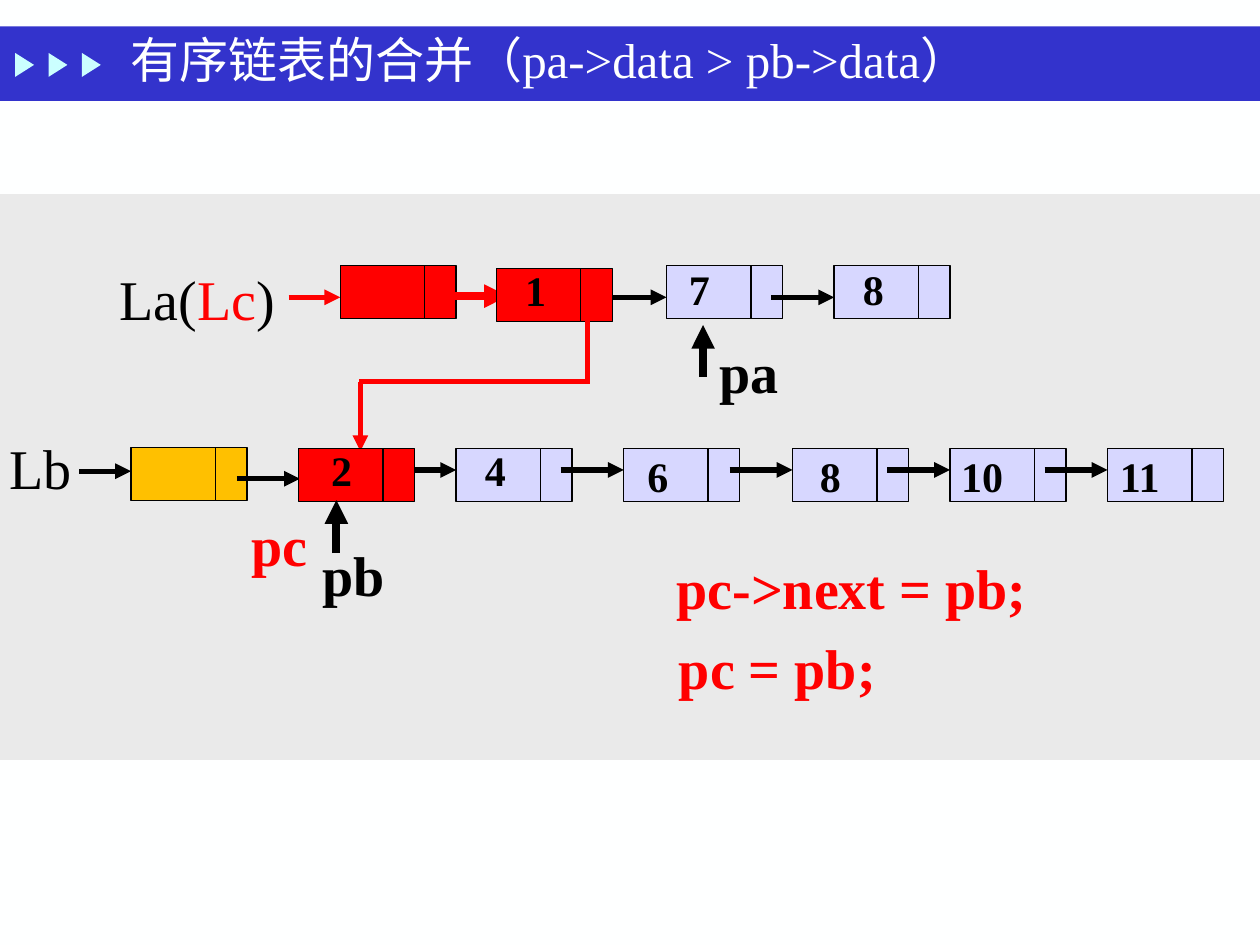
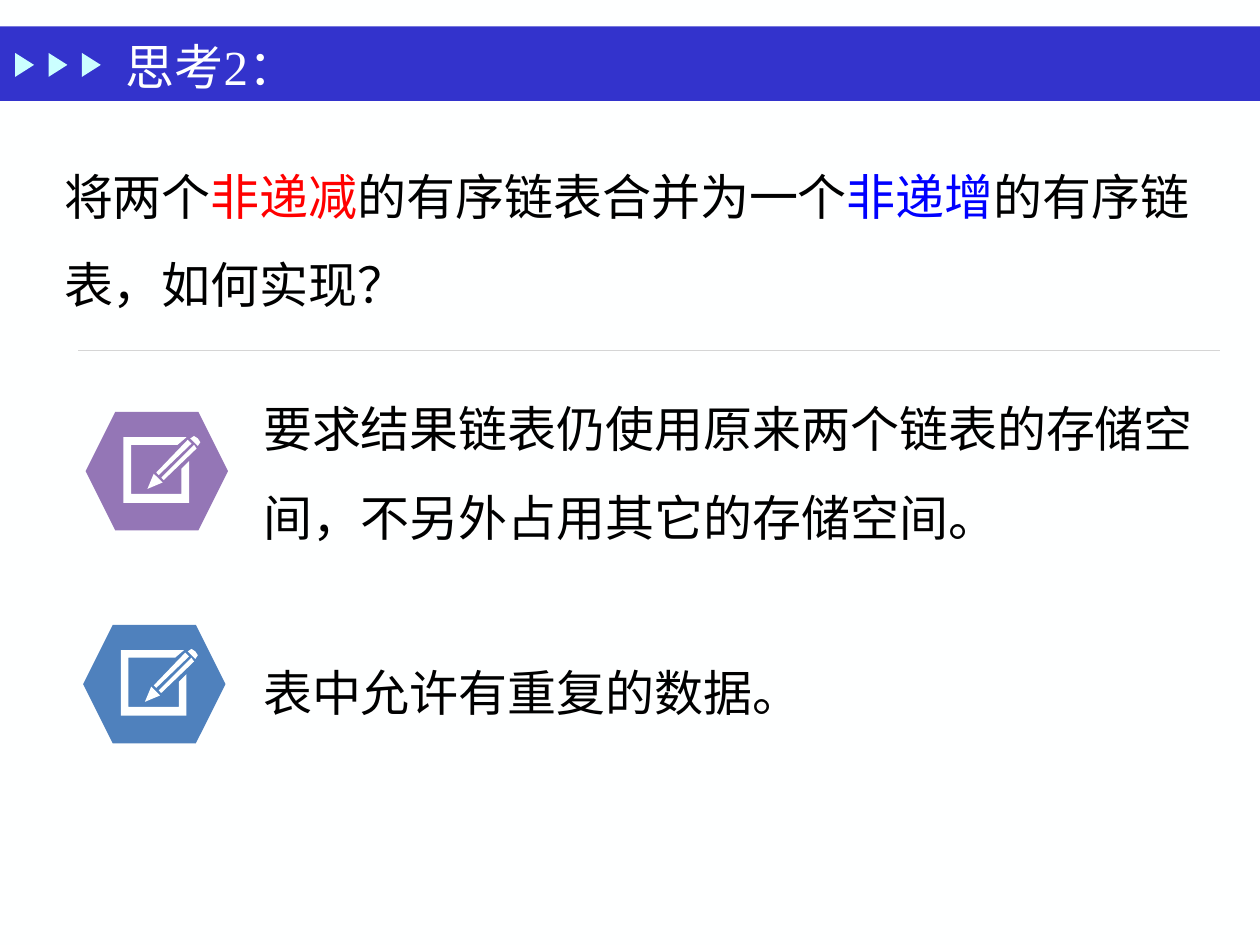
from lxml import etree
from pptx import Presentation
from pptx.dml.color import RGBColor
from pptx.enum import shapes, text
from pptx.oxml.ns import qn
from pptx.util import Pt

COLUMNS, ROWS = 10, 7.5
CELL = 914400
FONT = "Times New Roman"
BLACK, WHITE, RED, BLUE = "000000", "FEFFFF", "FF0000", "0000FF"
BAND, BAND_MARK, PANEL = "3333CC", "CBFFFF", "EAEAEA"
LILAC, AMBER, RULE = "D7D7FF", "FFC000", "D5D5D5"

DATA_WIDTH, LINK_WIDTH, NODE_HEIGHT = 0.67, 0.25, 0.42
ARROW_LENGTH = 0.5

LA_NODES = [(5.29, "7", 0.08, -0.07), (6.62, "8", 0.13, -0.07)]
LB_NODES = [
    (3.62, "4", 0.13, -0.08),
    (4.95, "6", 0.09, -0.03),
    (6.29, "8", 0.12, -0.03),
    (7.54, "10", -0.01, -0.03),
    (8.79, "11", 0, -0.03),
]

NOTE_OUTLINES = [
    [(0.61, 0.56), (0.54, 0.49), (0.49, 0.61)],
    [(0.81, 0.22), (0.56, 0.48), (0.58, 0.5), (0.84, 0.25)],
    [(0.6, 0.52), (0.62, 0.54), (0.88, 0.29), (0.86, 0.26)],
    [(0.83, 0.21), (0.86, 0.19), (0.89, 0.21), (0.91, 0.24), (0.89, 0.27)],
    [(0.76, 0.65), (0.36, 0.65), (0.36, 0.26), (0.73, 0.26), (0.8, 0.2),
     (0.3, 0.2), (0.3, 0.72), (0.82, 0.72), (0.82, 0.39), (0.76, 0.45)],
]


def color(hex_string):
    return RGBColor.from_string(hex_string)


def grid(*cells):
    return [round(cell * CELL) for cell in cells]


def paint(shape, fill, outline=None):
    shape.shadow.inherit = False
    shape.fill.solid()
    shape.fill.fore_color.rgb = color(fill)
    if outline:
        shape.line.color.rgb = color(outline)
        shape.line.width = Pt(0.75)
    else:
        shape.line.fill.background()


def add_block(page, kind, area, fill, outline=None):
    block = page.shapes.add_shape(kind, *grid(*area))
    paint(block, fill, outline)
    return block


def add_rect(page, area, fill, outline=None):
    return add_block(page, shapes.MSO_SHAPE.RECTANGLE, area, fill, outline)


def add_line(page, start, end, stroke=BLACK, width=3, arrow=True):
    line = page.shapes.add_connector(
        shapes.MSO_CONNECTOR.STRAIGHT, *grid(*start, *end))
    line.line.color.rgb = color(stroke)
    line.line.width = Pt(width)
    if arrow:
        etree.SubElement(line.line._get_or_add_ln(), qn("a:tailEnd"), type="triangle")
    etree.SubElement(line._element.spPr, qn("a:effectLst"))


def add_text(page, area, paragraphs, size, bold=False, wrap=True,
             middle=False, spacing=None, gap=0):
    box = page.shapes.add_textbox(*grid(*area))
    frame = box.text_frame
    frame.word_wrap = wrap
    if middle:
        frame.vertical_anchor = text.MSO_ANCHOR.MIDDLE
    for index, spans in enumerate(paragraphs):
        para = frame.add_paragraph() if index else frame.paragraphs[0]
        if spacing:
            para.line_spacing = spacing
        if index:
            para.space_before = Pt(gap)
        for words, ink in spans:
            span = para.add_run()
            span.text = words
            span.font.name = FONT
            span.font.size = Pt(size)
            span.font.bold = bold
            span.font.color.rgb = color(ink)


def add_label(page, area, words, ink=BLACK, size=32, bold=True):
    add_text(page, area, [[(words, ink)]], size, bold, wrap=False)


def add_node(page, left, top, fill, value="", shift_x=0, shift_y=0):
    add_rect(page, (left, top, DATA_WIDTH, NODE_HEIGHT), fill, BLACK)
    add_rect(page, (left + DATA_WIDTH, top, LINK_WIDTH, NODE_HEIGHT), fill, BLACK)
    if value:
        width = 0.2 + 0.17 * len(value)
        area = (left + shift_x, top + shift_y, width, 0.51)
        add_label(page, area, value, size=24)


def add_link(page, target, row, stroke=BLACK, width=3):
    add_line(page, (target - ARROW_LENGTH, row), (target, row), stroke, width)


def add_chain(page, nodes, top, arrow_row):
    for left, value, shift_x, shift_y in nodes:
        add_node(page, left, top, LILAC, value, shift_x, shift_y)
    for left, *_ in nodes:
        add_link(page, left, arrow_row)


def add_note_icon(page, left, top, fill):
    add_block(page, shapes.MSO_SHAPE.HEXAGON, (left, top, 1.13, 0.94), fill)
    for outline in NOTE_OUTLINES:
        points = [tuple(grid(left + x, top + y)) for x, y in outline]
        builder = page.shapes.build_freeform(*points[0])
        builder.add_line_segments(points[1:])
        paint(builder.convert_to_shape(), WHITE)


def add_page(deck, title, title_area):
    page = deck.slides.add_slide(deck.slide_layouts[6])
    page.background.fill.solid()
    page.background.fill.fore_color.rgb = color(WHITE)
    add_rect(page, (0, 0.21, COLUMNS, 0.59), BAND)
    for index in range(3):
        area = (0.1 + 0.265 * index, 0.44, 0.19, 0.15)
        mark = add_block(page, shapes.MSO_SHAPE.ISOSCELES_TRIANGLE, area, BAND_MARK)
        mark.rotation = 90
    add_text(page, title_area, [[(title, WHITE)]], 28, middle=True)
    return page


def add_merge_page(deck):
    page = add_page(deck, "有序链表的合并（pa->data > pb->data）", (0.94, 0.19, 8.53, 0.56))
    add_rect(page, (0, 1.54, COLUMNS, 4.49), PANEL)

    add_text(page, (0.85, 2.05, 1.61, 0.63),
             [[("La(", BLACK), ("Lc", RED), (")", BLACK)]], 32)
    add_line(page, (2.29, 2.36), (2.7, 2.36), RED)
    add_node(page, 2.7, 2.11, RED)
    add_link(page, 4.03, 2.35, RED, 4.5)
    add_chain(page, LA_NODES, 2.11, 2.36)
    add_node(page, 3.94, 2.13, RED, "1", 0.13, -0.08)

    add_label(page, (-0.02, 3.39, 0.7, 0.64), "Lb", bold=False)
    add_line(page, (0.63, 3.74), (1.04, 3.74))
    add_node(page, 1.04, 3.55, AMBER)
    add_link(page, 2.38, 3.8)
    add_chain(page, LB_NODES, 3.56, 3.73)

    add_line(page, (4.66, 2.53), (4.66, 3.03), RED, arrow=False)
    add_line(page, (4.68, 3.03), (2.85, 3.03), RED, arrow=False)
    add_line(page, (2.86, 3.03), (2.86, 3.58), RED)
    add_node(page, 2.37, 3.56, RED, "2", 0.16, -0.08)

    add_label(page, (5.61, 2.63, 0.68, 0.64), "pa")
    add_line(page, (5.58, 2.99), (5.58, 2.58), width=4.5)
    add_label(page, (2.46, 4.24, 0.7, 0.64), "pb")
    add_line(page, (2.67, 4.39), (2.67, 3.97), width=4.5)
    for area, words in [
        ((1.9, 4, 0.95, 0.63), "pc"),
        ((5.27, 4.34, 4.03, 0.63), "pc->next = pb;"),
        ((5.29, 4.98, 4.03, 0.63), "pc = pb;"),
    ]:
        add_text(page, area, [[(words, RED)]], 32, bold=True)


def add_question_page(deck):
    page = add_page(deck, "思考2：", (0.9, 0.21, 8.51, 0.63))
    question = [("将两个", BLACK), ("非递减", RED), ("的有序链表合并为一个", BLACK),
                ("非递增", BLUE), ("的有序链表，如何实现？", BLACK)]
    add_text(page, (0.41, 1.13, 9.18, 1.31), [question], 28, middle=True, spacing=1.5)
    add_line(page, (0.62, 2.78), (9.68, 2.78), RULE, 0.75, arrow=False)
    demands = [
        [("要求结果链表仍使用原来两个链表的存储空间，不另外占用其它的存储空间。", BLACK)],
        [("表中允许有重复的数据。", BLACK)],
    ]
    add_text(page, (1.99, 2.91, 7.69, 2.84), demands, 28,
             middle=True, spacing=1.5, gap=50)
    add_note_icon(page, 0.68, 3.27, "9476B6")
    add_note_icon(page, 0.66, 4.96, "4F81BD")


def main():
    deck = Presentation()
    deck.slide_width, deck.slide_height = grid(COLUMNS, ROWS)
    add_merge_page(deck)
    add_question_page(deck)
    deck.save("out.pptx")


if __name__ == "__main__":
    main()
